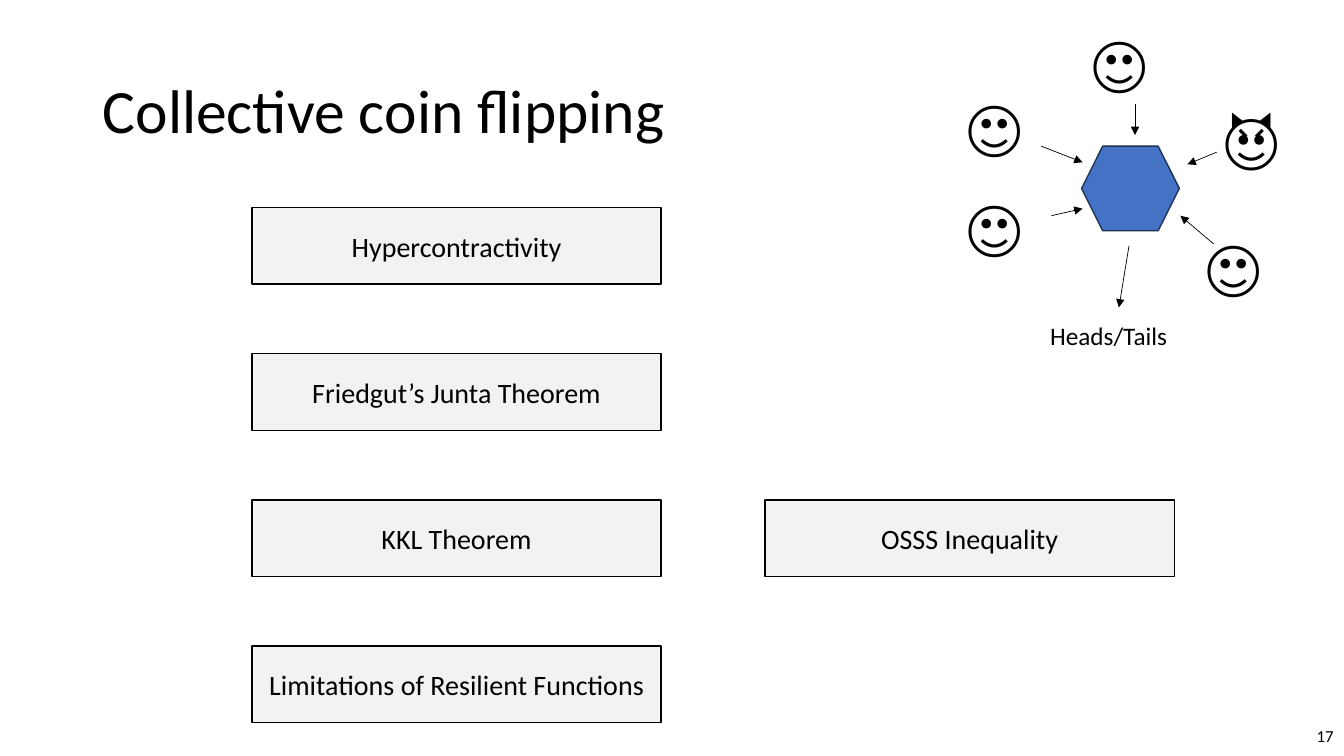
import dataclasses
import typing

import lxml.etree
import pptx
import pptx.dml.color
import pptx.enum.shapes
import pptx.enum.text
import pptx.oxml.ns
import pptx.util

ALIGN = pptx.enum.text.PP_ALIGN
ANCHOR = pptx.enum.text.MSO_ANCHOR
SHAPE = pptx.enum.shapes.MSO_SHAPE


@dataclasses.dataclass(frozen=True)
class Theme:
    font: str = "Calibri"
    ink: str = "000000"
    panel: str = "F2F2F2"
    accent: str = "4472C4"
    accent_edge: str = "1E3256"
    display_size: float = 44
    theorem_size: float = 20
    caption_size: float = 18
    number_size: float = 12
    outline: float = 1
    arrow_line: float = 0.5


@dataclasses.dataclass(frozen=True)
class Area:
    """A rectangle in grid columns and rows."""
    column: float
    row: float
    columns: float
    rows: float

    def lengths(self) -> list[pptx.util.Length]:
        return [grid(value) for value in dataclasses.astuple(self)]


class Theorem(typing.NamedTuple):
    name: str
    across: int
    down: int


class Player(typing.NamedTuple):
    face: str
    column: float
    row: float


class Arrow(typing.NamedTuple):
    start: tuple[float, float]
    end: tuple[float, float]


THEME = Theme()
COLUMNS, ROWS = 133.33, 75  # square grid cells, a tenth of an inch each

TITLE_AREA = Area(9.2, 4, 115, 14.5)
NUMBER_AREA = Area(103.3, 71, 30, 4)
FIRST_THEOREM = Area(25, 20.6, 40.6, 7.6)
THEOREM_STEP = (50.9, 14.5)
HEXAGON_AREA = Area(107.3, 14.5, 9.7, 8.4)
RESULT_AREA = Area(103.2, 31.3, 14.6, 4)
FACE_SIZE = (10.4, 8.4)

THEOREMS = [
    Theorem("Hypercontractivity", 0, 0),
    Theorem("Friedgut’s Junta Theorem", 0, 1),
    Theorem("KKL Theorem", 0, 2),
    Theorem("Limitations of Resilient Functions", 0, 3),
    Theorem("OSSS Inequality", 1, 2),
]
PLAYERS = [
    Player("🙂", 94.9, 8.2),
    Player("🙂", 94.9, 18.2),
    Player("🙂", 118.6, 22.1),
    Player("🙂", 107.3, 1.9),
    Player("😈", 120.4, 9.2),
]
ARROWS = [
    Arrow((112.6, 10.3), (112.6, 13.4)),
    Arrow((103.3, 14.5), (107.4, 16.1)),
    Arrow((104.3, 21.4), (107.4, 20.7)),
    Arrow((112, 24.4), (111, 30.5)),
    Arrow((120.4, 24.2), (117.1, 21.4)),
    Arrow((120.7, 15.1), (117.8, 16.3)),
]


def grid(cells: float) -> pptx.util.Length:
    return pptx.util.Inches(cells / 10)


def color(value: str) -> pptx.dml.color.RGBColor:
    return pptx.dml.color.RGBColor.from_string(value)


def write(shape, text: str, size: float, align=ALIGN.LEFT, anchor=ANCHOR.MIDDLE) -> None:
    frame = shape.text_frame
    frame.text = text
    frame.word_wrap = True
    frame.vertical_anchor = anchor
    para = frame.paragraphs[0]
    para.alignment = align
    for span in para.runs:
        span.font.name = THEME.font
        span.font.size = pptx.util.Pt(size)
        span.font.color.rgb = color(THEME.ink)


def add_shape(shapes, kind, area: Area, fill: str, line: str):
    shape = shapes.add_shape(kind, *area.lengths())
    shape.shadow.inherit = False
    shape.fill.solid()
    shape.fill.fore_color.rgb = color(fill)
    shape.line.color.rgb = color(line)
    shape.line.width = pptx.util.Pt(THEME.outline)
    return shape


def add_label(shapes, text: str, area: Area, size: float) -> None:
    box = shapes.add_textbox(*area.lengths())
    write(box, text, size, anchor=ANCHOR.TOP)
    box.text_frame.auto_size = pptx.enum.text.MSO_AUTO_SIZE.SHAPE_TO_FIT_TEXT


def add_arrow(shapes, arrow: Arrow) -> None:
    ends = [grid(value) for value in arrow.start + arrow.end]
    connector = shapes.add_connector(pptx.enum.shapes.MSO_CONNECTOR.STRAIGHT, *ends)
    connector.line.color.rgb = color(THEME.ink)
    connector.line.width = pptx.util.Pt(THEME.arrow_line)
    qualify = pptx.oxml.ns.qn
    line = connector.line._get_or_add_ln()
    lxml.etree.SubElement(line, qualify("a:tailEnd"), type="triangle")
    lxml.etree.SubElement(connector._element.spPr, qualify("a:effectLst"))


def add_title(page) -> None:
    title = page.shapes.title
    title.left, title.top, title.width, title.height = TITLE_AREA.lengths()
    write(title, "Collective coin flipping", THEME.display_size)
    title.text_frame.paragraphs[0].line_spacing = 0.9


def add_theorem(page, theorem: Theorem) -> None:
    area = dataclasses.replace(
        FIRST_THEOREM,
        column=FIRST_THEOREM.column + theorem.across * THEOREM_STEP[0],
        row=FIRST_THEOREM.row + theorem.down * THEOREM_STEP[1],
    )
    box = add_shape(page.shapes, SHAPE.RECTANGLE, area, THEME.panel, THEME.ink)
    write(box, theorem.name, THEME.theorem_size, ALIGN.CENTER)


def add_coin_protocol(page) -> None:
    shapes = page.shapes.add_group_shape().shapes
    for player in PLAYERS:
        area = Area(player.column, player.row, *FACE_SIZE)
        add_label(shapes, player.face, area, THEME.display_size)
    add_shape(shapes, SHAPE.HEXAGON, HEXAGON_AREA, THEME.accent, THEME.accent_edge)
    for arrow in ARROWS:
        add_arrow(shapes, arrow)
    add_label(shapes, "Heads/Tails", RESULT_AREA, THEME.caption_size)


def main() -> None:
    deck = pptx.Presentation()
    deck.slide_width, deck.slide_height = grid(COLUMNS), grid(ROWS)
    page = deck.slides.add_slide(deck.slide_layouts.get_by_name("Title Only"))

    # Title and slide number
    add_title(page)
    number = page.shapes.add_textbox(*NUMBER_AREA.lengths())
    write(number, "17", THEME.number_size, ALIGN.RIGHT)

    # Theorem boxes
    for theorem in THEOREMS:
        add_theorem(page, theorem)

    # Players sending messages to the coin protocol
    add_coin_protocol(page)

    deck.save("out.pptx")


if __name__ == "__main__":
    main()
